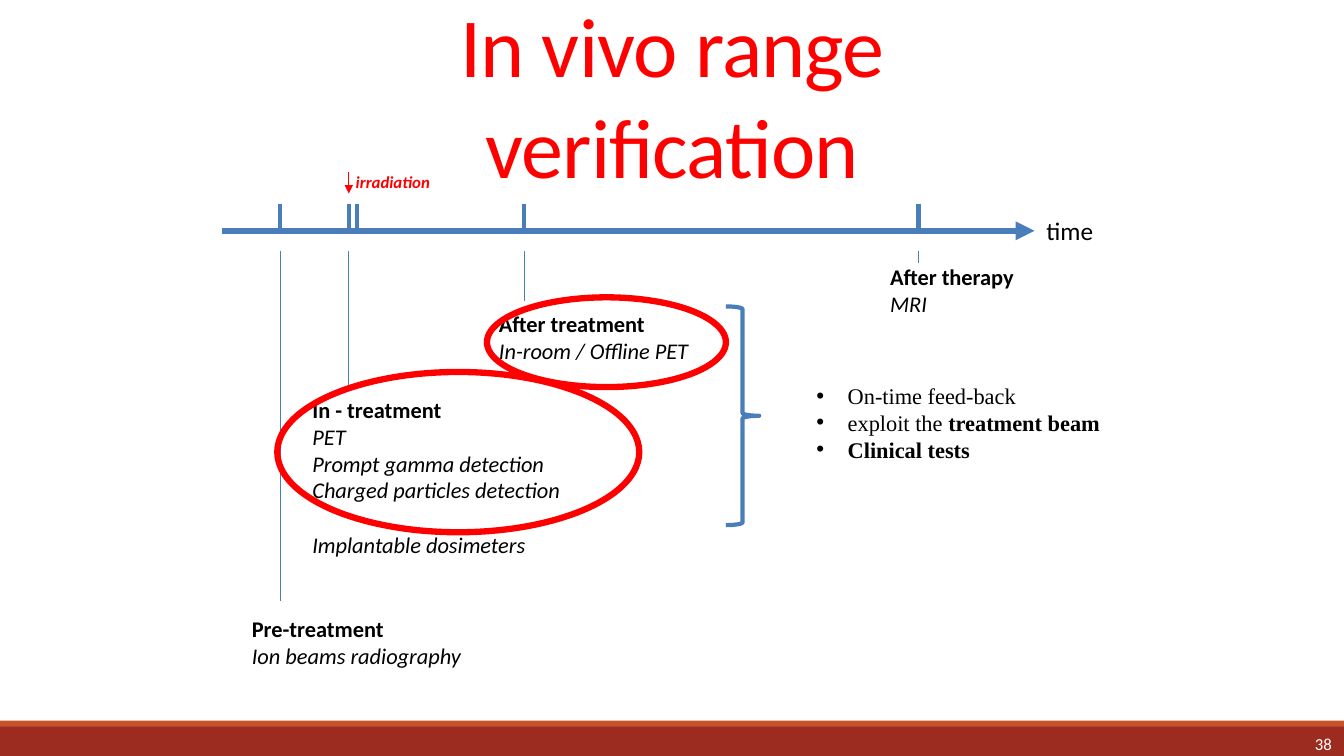
from pptx import Presentation
from pptx.dml.color import RGBColor
from pptx.enum.shapes import MSO_CONNECTOR, MSO_SHAPE
from pptx.enum.text import MSO_ANCHOR, MSO_AUTO_SIZE, PP_ALIGN
from pptx.oxml.ns import qn
from pptx.util import Inches, Pt
from lxml import etree

STRAIGHT = MSO_CONNECTOR.STRAIGHT
RECT, OVAL, BRACE = MSO_SHAPE.RECTANGLE, MSO_SHAPE.OVAL, MSO_SHAPE.RIGHT_BRACE
BLUE, RED, BLACK, WHITE = "4A7EBB", "FF0000", "000000", "FFFFFF"
SANS, SERIF = "Calibri", "Times New Roman"

# Content
TITLE = "In vivo range verification"
PAGE = "38"
FOOTER_BANDS = [(7.2, 0.3, "9B2C1F"), (7.15, 0.06, "C8522A")]  # top, height, colour
AXIS_Y, TICK_TOP, DROP_TOP = 2.29, 2.02, 2.49
TICKS = [2.78, 3.46, 3.54, 5.2, 9.11]
DROPS = [(2.78, 5.96), (3.46, 3.87), (5.2, 2.99), (9.11, 2.61)]  # x, bottom
# Box, heading, methods, last method set apart
STAGES = [
    ((2.4, 6.05, 2.77, 0.63), "Pre-treatment", ["Ion beams radiography"], None),
    ((3, 3.88, 3.34, 1.7), "In - treatment",
     ["PET", "Prompt gamma detection", "Charged particles detection"],
     "Implantable dosimeters"),
    ((4.85, 3.03, 2.55, 0.63), "After treatment", ["In-room / Offline PET"], None),
    ((8.73, 2.56, 1.89, 0.63), "After therapy", ["MRI"], None),
]
BENEFITS = [  # runs of text and bold
    [("On-time feed-back", False)],
    [("exploit the ", False), ("treatment beam", True)],
    [("Clinical tests", True)],
]
HIGHLIGHTS = [(2.75, 3.69, 3.59, 1.59), (4.83, 2.95, 2.37, 0.89)]

prs = Presentation()
prs.slide_width, prs.slide_height = Inches(13.33), Inches(7.5)
s = prs.slides.add_slide(prs.slide_layouts[5])


def rgb(color):
    return RGBColor.from_string(color)


def add_line(x1, y1, x2, y2, color, width, arrow=False):
    c = s.shapes.add_connector(STRAIGHT, *map(Inches, (x1, y1, x2, y2)))
    c.line.color.rgb = rgb(color)
    c.line.width = Pt(width)
    if arrow:
        etree.SubElement(c.line._get_or_add_ln(), qn("a:tailEnd"), type="triangle")
    etree.SubElement(c._element.spPr, qn("a:effectLst"))


def add_outline(kind, box, color, width):
    sp = s.shapes.add_shape(kind, *map(Inches, box))
    sp.shadow.inherit = False
    sp.fill.background()
    sp.line.color.rgb = rgb(color)
    sp.line.width = Pt(width)
    return sp


def add_box(box):
    tf = s.shapes.add_textbox(*map(Inches, box)).text_frame
    tf.word_wrap = True
    return tf


def add_run(p, text, size, color=BLACK, font=SANS, bold=False, italic=False):
    r = p.add_run()
    r.text = text
    r.font.name, r.font.size = font, Pt(size)
    r.font.bold, r.font.italic = bold, italic
    r.font.color.rgb = rgb(color)
    return r


def next_paragraph(tf, first):
    return tf.paragraphs[0] if first else tf.add_paragraph()


# Footer bands
for top, height, color in FOOTER_BANDS:
    sp = s.shapes.add_shape(RECT, 0, Inches(top), prs.slide_width, Inches(height))
    sp.shadow.inherit = False
    sp.fill.solid()
    sp.fill.fore_color.rgb = rgb(color)
    sp.line.fill.background()

# Title
title = s.shapes.title
title.left, title.top, title.width, title.height = map(Inches, (2.89, -0.07, 7.55, 2.01))
tf = title.text_frame
tf.word_wrap, tf.auto_size = True, MSO_AUTO_SIZE.NONE
tf.vertical_anchor = MSO_ANCHOR.TOP
tf.margin_left = tf.margin_right = tf.margin_bottom = 0
tf.margin_top = Inches(0.01)
p = tf.paragraphs[0]
p.alignment = PP_ALIGN.CENTER
r = add_run(p, TITLE, 60, RED)
r._r.get_or_add_rPr().set("spc", "-60")

# Page number
tf = add_box((13.04, 7.31, 0.25, 0.17))
tf.margin_left = tf.margin_right = tf.margin_top = tf.margin_bottom = 0
tf.paragraphs[0].line_spacing = Pt(12.4)
add_run(tf.paragraphs[0], PAGE, 12, WHITE)

# Time axis, ticks and drop lines
add_line(2.2, AXIS_Y, 10.26, AXIS_Y, BLUE, 4.5, arrow=True)
for x in TICKS:
    add_line(x, TICK_TOP, x, AXIS_Y, BLUE, 3)
for x, bottom in DROPS:
    add_line(x, DROP_TOP, x, bottom, BLUE, 0.75)
add_run(add_box((10.28, 2.09, 0.76, 0.4)).paragraphs[0], "time", 18)

# Irradiation marker
add_line(3.46, 1.71, 3.46, 1.92, RED, 0.75, arrow=True)
add_run(add_box((3.43, 1.65, 1.19, 0.3)).paragraphs[0], "irradiation", 12, RED,
        bold=True, italic=True)

# Treatment stages
for box, heading, methods, apart in STAGES:
    tf = add_box(box)
    add_run(tf.paragraphs[0], heading, 16, bold=True)
    for method in methods:
        add_run(tf.add_paragraph(), method, 16, italic=True)
    if apart:
        p = tf.add_paragraph()
        p.space_before = Pt(19.5)
        add_run(p, apart, 16, italic=True)

# Brace and benefits
brace = add_outline(BRACE, (7.2, 3.04, 0.33, 2.17), BLUE, 3)
brace.adjustments[0], brace.adjustments[1] = 0.083, 0.5
tf = add_box((8, 3.74, 4.64, 0.9))
for i, runs in enumerate(BENEFITS):
    p = next_paragraph(tf, i == 0)
    pPr = p._p.get_or_add_pPr()
    pPr.set("marL", str(Inches(0.31)))
    pPr.set("indent", str(Inches(-0.31)))
    etree.SubElement(pPr, qn("a:buFont"), typeface="Arial")
    etree.SubElement(pPr, qn("a:buChar"), char="•")
    for text, bold in runs:
        add_run(p, text, 16, font=SERIF, bold=bold)

# Highlighted stages
for box in HIGHLIGHTS:
    add_outline(OVAL, box, RED, 4.5)

prs.save("out.pptx")
